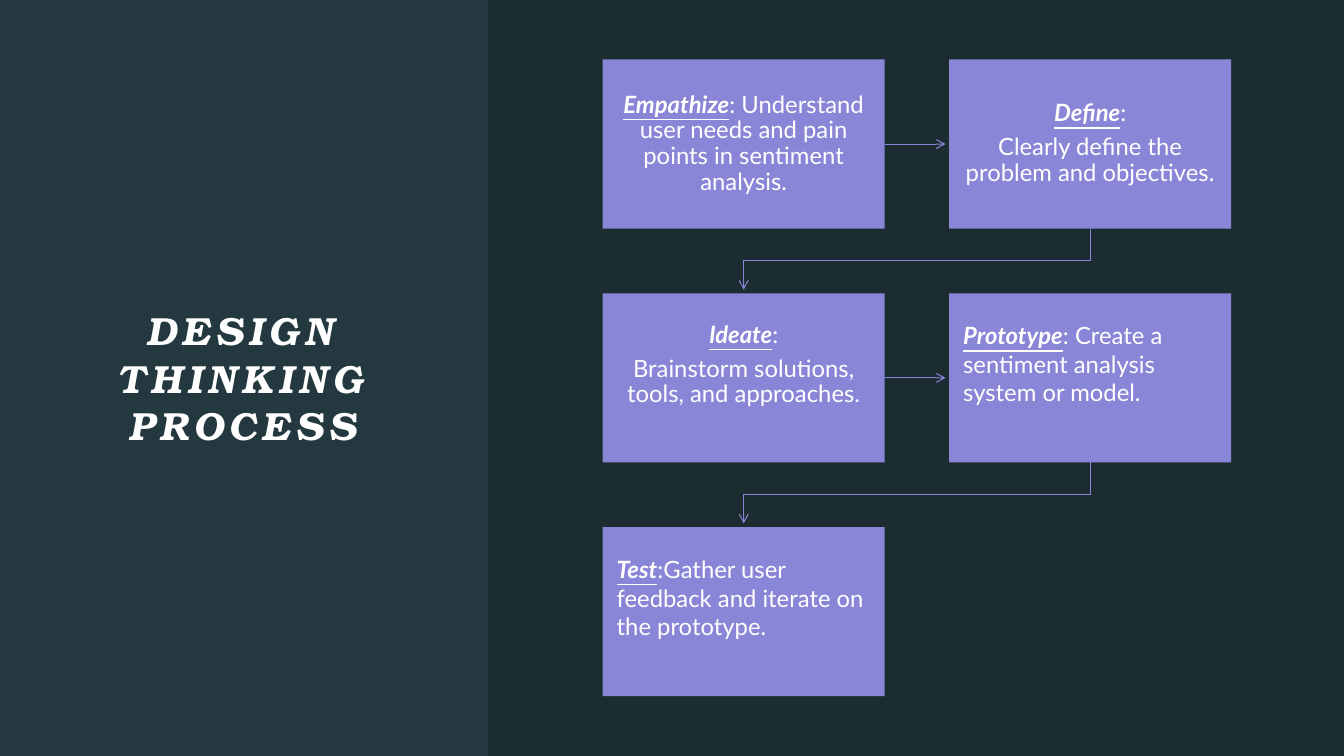
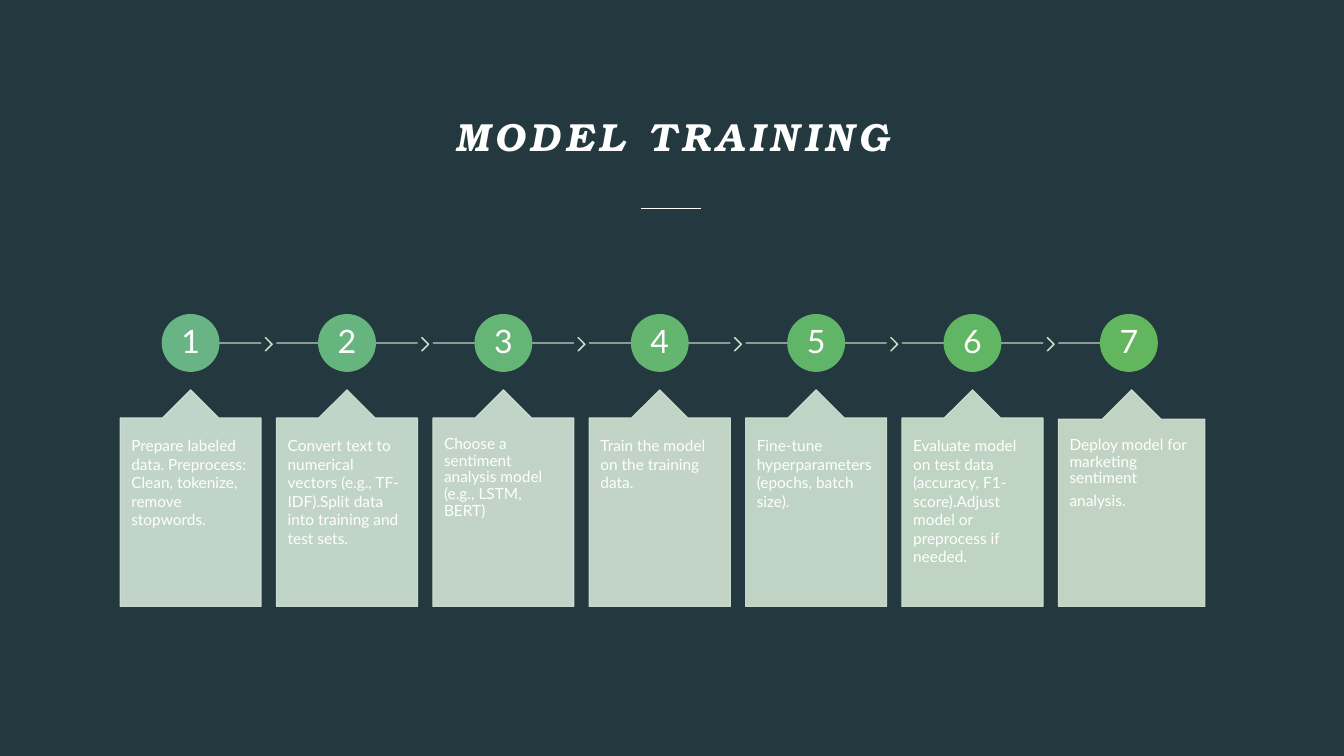
from lxml import etree
from pptx import Presentation
from pptx.dml.color import RGBColor
from pptx.enum import shapes, text
from pptx.oxml import ns
from pptx.util import Pt

WIDTH, HEIGHT = 960, 540
BACKGROUND, WHITE, BLACK, VIOLET = "24393F", "FFFFFF", "000000", "8985D7"
TITLE_FONT, BODY_FONT = "TeX Gyre Bonum", "Lato"
CENTER, LEFT = text.PP_ALIGN.CENTER, text.PP_ALIGN.LEFT
TOP, MIDDLE, BOTTOM = (text.MSO_ANCHOR.TOP, text.MSO_ANCHOR.MIDDLE,
                       text.MSO_ANCHOR.BOTTOM)
SHAPE = shapes.MSO_SHAPE

# Label, rest of its line, following paragraph, alignment, line spacing,
# and the distance kept free below the text
PHASES = [
    ("Empathize", ": Understand user needs and pain points in sentiment analysis.",
     None, CENTER, 0.9, 0),
    ("Define", ":", "Clearly define the problem and objectives.", CENTER, 0.9, 0),
    ("Ideate", ":", "Brainstorm solutions, tools, and approaches.", CENTER, 0.9, 18),
    ("Prototype", ": Create a sentiment analysis system or model.",
     None, LEFT, 1, 20),
    ("Test", ":Gather user feedback and iterate on the prototype.",
     None, LEFT, 1, 20),
]

# Circle colour, card colour, line spacing, paragraphs
STEPS = [
    ("68B484", "D3E5D8", 1,
     ["Prepare labeled data. Preprocess: Clean, tokenize, remove stopwords."]),
    ("66B47E", "D3E5D7", 1,
     ["Convert text to numerical vectors (e.g., TF-IDF).Split data into "
      "training and test sets."]),
    ("65B577", "D3E5D6", 0.9,
     ["Choose a sentiment analysis model (e.g., LSTM, BERT)"]),
    ("63B570", "D3E5D5", 1, ["Train the model on the training data."]),
    ("61B569", "D2E5D4", 1, ["Fine-tune hyperparameters (epochs, batch size)."]),
    ("60B662", "D2E5D3", 1,
     ["Evaluate model on test data (accuracy, F1-score).Adjust model or "
      "preprocess if needed."]),
    ("62B65E", "D3E5D2", 0.9, ["Deploy model for marketing sentiment", "analysis."]),
]


def color(value):
    return RGBColor.from_string(value)


def set_opacity(shape, percent):
    """Apply one opacity to the fill and the line of a shape."""
    for element in shape.element.spPr.iter(ns.qn("a:srgbClr")):
        etree.SubElement(element, ns.qn("a:alpha"), val=str(percent * 1000))


def style_line(shape, line_color, width=0.75, arrow=False):
    shape.line.color.rgb = color(line_color)
    shape.line.width = Pt(width)
    if arrow:
        line = shape.element.spPr.find(ns.qn("a:ln"))
        etree.SubElement(line, ns.qn("a:tailEnd"), type="arrow")


def add_shape(slide, kind, left, top, width, height, fill, outlined=False):
    shape = slide.shapes.add_shape(kind, Pt(left), Pt(top), Pt(width), Pt(height))
    shape.shadow.inherit = False
    shape.fill.solid()
    shape.fill.fore_color.rgb = color(fill)
    if outlined:
        style_line(shape, fill)
    else:
        shape.line.fill.background()
    return shape


def add_line(slide, start, end, line_color, width=0.75, arrow=False):
    connector = slide.shapes.add_connector(
        shapes.MSO_CONNECTOR.STRAIGHT, *map(Pt, start + end))
    style_line(connector, line_color, width, arrow)
    etree.SubElement(connector.element.spPr, ns.qn("a:effectLst"))
    return connector


def add_bent_arrow(slide, points):
    points = [(Pt(x), Pt(y)) for x, y in points]
    builder = slide.shapes.build_freeform(*points[0])
    builder.add_line_segments(points[1:], close=False)
    shape = builder.convert_to_shape()
    shape.shadow.inherit = False
    shape.fill.background()
    style_line(shape, VIOLET, arrow=True)


def set_frame(shape, anchor, left=0, top=0, right=0, bottom=0):
    """Set anchor and insets, and return the text frame."""
    frame = shape.text_frame
    frame.word_wrap = True
    frame.auto_size = text.MSO_AUTO_SIZE.NONE
    frame.vertical_anchor = anchor
    frame.margin_left, frame.margin_top = Pt(left), Pt(top)
    frame.margin_right, frame.margin_bottom = Pt(right), Pt(bottom)
    return frame


def format_text(frame, size, align, spacing=1, after=0, font=BODY_FONT):
    for paragraph in frame.paragraphs:
        paragraph.alignment = align
        paragraph.line_spacing = spacing
        paragraph.space_after = Pt(after)
        for run in paragraph.runs:
            run.font.name = font
            run.font.size = Pt(size)
            run.font.color.rgb = color(WHITE)


def add_titled_slide(presentation, title, box, anchor):
    slide = presentation.slides.add_slide(presentation.slide_layouts[5])
    shape = slide.shapes.title
    shape.left, shape.top, shape.width, shape.height = map(Pt, box)
    frame = set_frame(shape, anchor)
    frame.text = title
    format_text(frame, 28, CENTER, font=TITLE_FONT)
    run = frame.paragraphs[0].runs[0]
    run.font.bold = run.font.italic = True
    run.font._element.set("spc", "400")
    return slide


def add_phase(slide, left, top, width, height, phase):
    label, rest, body, align, spacing, free_below = phase
    box = add_shape(slide, SHAPE.RECTANGLE, left, top, width, height, VIOLET)
    frame = set_frame(box, MIDDLE, 10, 10, 10, 10 + free_below)
    paragraph = frame.paragraphs[0]
    paragraph.text = label
    font = paragraph.runs[0].font
    font.bold = font.italic = font.underline = True
    paragraph.add_run().text = rest
    if body:
        frame.add_paragraph().text = body
    format_text(frame, 17, align, spacing, after=6)
    return box


def add_process_slide(presentation):
    slide = add_titled_slide(presentation, "DESIGN THINKING PROCESS",
                             (42.5, 85, 261.5, 369), MIDDLE)
    panel_left = 348.6
    panel = add_shape(slide, SHAPE.RECTANGLE, panel_left, 0,
                      WIDTH - panel_left, HEIGHT, BLACK)
    set_opacity(panel, 20)

    left, top, width, height = 430.5, 42.5, 201.4, 120.8
    column_pitch, row_pitch, arrow_gap = 247.5, 167, 2.6
    for index, phase in enumerate(PHASES):
        row, column = divmod(index, 2)
        x, y = left + column * column_pitch, top + row * row_pitch
        box = add_phase(slide, x, y, width, height, phase)
        if index == len(PHASES) - 1:
            continue
        if column == 0:
            middle = y + height / 2
            arrow = add_line(slide, (x + width, middle),
                             (x + column_pitch - arrow_gap, middle),
                             VIOLET, arrow=True)
            arrow.begin_connect(box, 3)
        else:
            start, end = x + width / 2, left + width / 2
            bottom, next_top = y + height, y + row_pitch
            bend = (bottom + next_top) / 2
            add_bent_arrow(slide, [(start, bottom), (start, bend), (end, bend),
                                   (end, next_top - arrow_gap)])


def add_step_card(slide, left, width, fill, spacing, paragraphs):
    card = add_shape(slide, SHAPE.UP_ARROW_CALLOUT, left, 278.4, width, 154.8,
                     fill, outlined=True)
    for index, value in enumerate((0.5, 0.2, 0.2, 1)):
        card.adjustments[index] = value
    set_opacity(card, 90)
    frame = set_frame(card, TOP, 8, 13, 8, 13)
    frame.text = "\n".join(paragraphs)
    format_text(frame, 11, LEFT, spacing, after=4)


def add_step_circle(slide, center_x, center_y, number, fill):
    diameter = 40.6
    circle = add_shape(slide, SHAPE.OVAL, center_x - diameter / 2,
                       center_y - diameter / 2, diameter, diameter,
                       fill, outlined=True)
    frame = set_frame(circle, MIDDLE)
    frame.text = str(number)
    format_text(frame, 23, CENTER, 0.9)


def add_training_slide(presentation):
    slide = add_titled_slide(presentation, "MODEL TRAINING",
                             (85, 42, 790, 72), BOTTOM)
    add_line(slide, (458.2, 149), (500.6, 149), WHITE, 1)

    left, pitch, width, last_width, axis = 85.8, 111.7, 100.8, 104.6, 245
    last = len(STEPS)
    for number, (circle, pale, spacing, paragraphs) in enumerate(STEPS, 1):
        x = left + (number - 1) * pitch
        center = x + width / 2
        line_start = center if number == 1 else x
        line_end = center if number == last else x + width
        line = add_line(slide, (line_start, axis), (line_end, axis), pale)
        set_opacity(line, 90)
        if number < last:
            chevron = add_shape(slide, SHAPE.CHEVRON, x + width + 2.8, axis - 3.8,
                                5.2, 9.4, pale, outlined=True)
            chevron.adjustments[0] = 0.9
            set_opacity(chevron, 90)
        add_step_circle(slide, center, axis, number, circle)
        add_step_card(slide, x, last_width if number == last else width,
                      pale, spacing, paragraphs)


def main():
    presentation = Presentation()
    presentation.slide_width, presentation.slide_height = Pt(WIDTH), Pt(HEIGHT)
    fill = presentation.slide_master.background.fill
    fill.solid()
    fill.fore_color.rgb = color(BACKGROUND)
    add_process_slide(presentation)
    add_training_slide(presentation)
    presentation.save("out.pptx")


if __name__ == "__main__":
    main()
